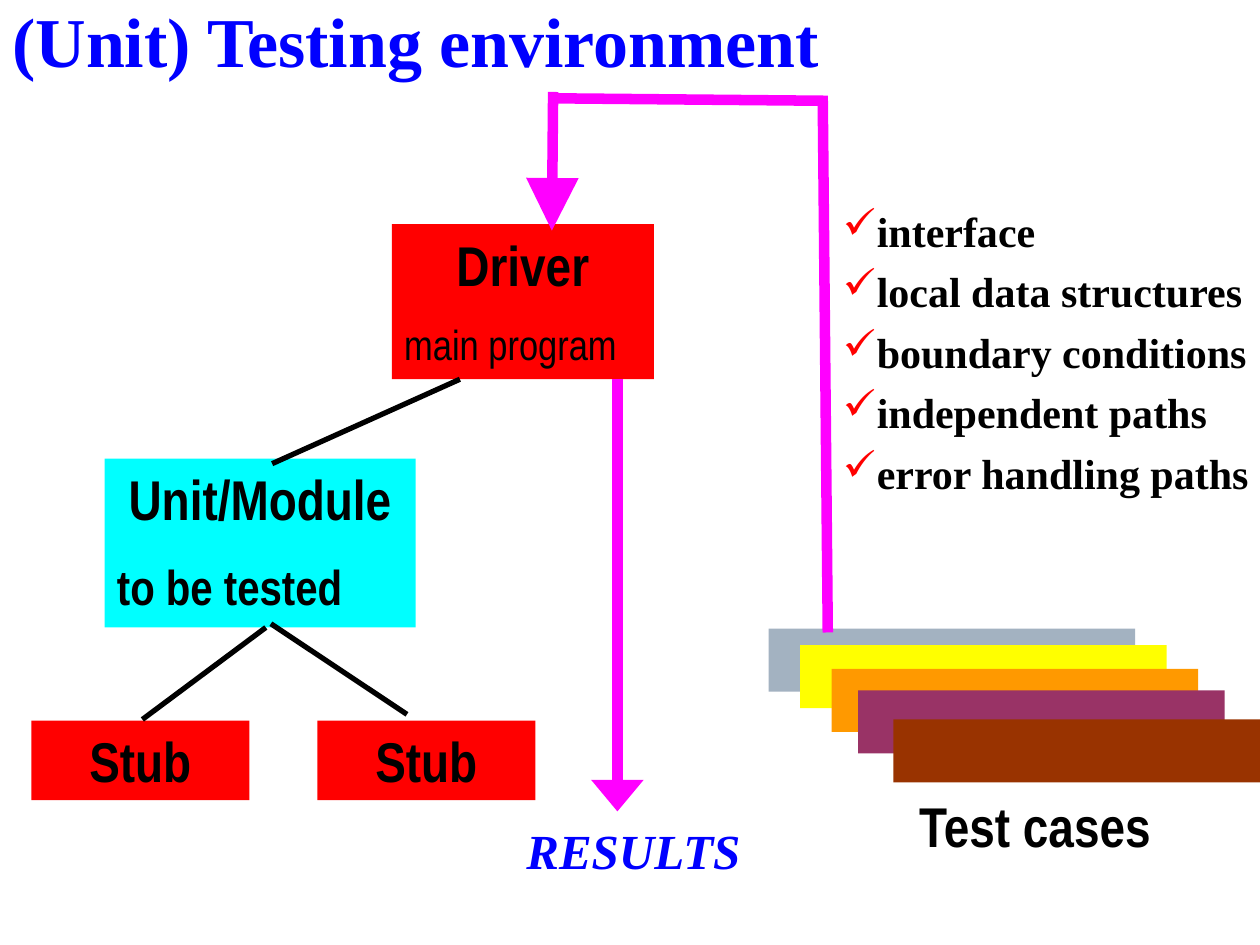
"""Build the unit testing environment slide."""
from lxml import etree
from pptx import Presentation
from pptx.dml.color import RGBColor
from pptx.enum.shapes import MSO_CONNECTOR, MSO_SHAPE
from pptx.enum.text import MSO_ANCHOR, PP_ALIGN
from pptx.oxml.ns import qn
from pptx.util import Inches, Pt

LEFT, CENTER = PP_ALIGN.LEFT, PP_ALIGN.CENTER
TOP, MIDDLE = MSO_ANCHOR.TOP, MSO_ANCHOR.MIDDLE
RECTANGLE, STRAIGHT = MSO_SHAPE.RECTANGLE, MSO_CONNECTOR.STRAIGHT

BLACK, BLUE, RED, CYAN, MAGENTA = "000000", "0000FF", "FF0000", "00FFFF", "FF00FF"
SERIF, NARROW = "Times New Roman", "Arial Narrow"

HEADING = {"name": NARROW, "size": Pt(32), "bold": True}
PROGRAM = {"name": NARROW, "size": Pt(24), "bold": False}
TESTED = {"name": NARROW, "size": Pt(28), "bold": True}
TITLE = {"name": SERIF, "size": Pt(40), "bold": True}
RESULT = {"name": SERIF, "size": Pt(28), "bold": True, "italic": True}
CHECK = {"name": SERIF, "size": Pt(24), "bold": True}

CHECKS = ["interface", "local data structures", "boundary conditions",
          "independent paths", "error handling paths"]
CHECKS_BOX = (6.59, 1.5, 3.45, 2.87)
CHECK_INDENT = 0.27

MODULES = [
    ((3.11, 1.78, 2.08, 1.23), RED,
     [("Driver", HEADING, CENTER), ("main program", PROGRAM, LEFT)]),
    ((0.83, 3.64, 2.47, 1.34), CYAN,
     [("Unit/Module", HEADING, CENTER), ("to be tested", TESTED, LEFT)]),
    ((0.25, 5.72, 1.73, 0.63), RED, [("Stub", HEADING, CENTER)]),
    ((2.52, 5.72, 1.73, 0.63), RED, [("Stub", HEADING, CENTER)]),
]
LABELS = [
    ((4.08, 6.46, 1.91, 0.57), BLUE, TOP, [("RESULTS", RESULT, LEFT)]),
    ((6.76, 6.23, 2.91, 0.63), BLACK, TOP, [("Test cases", HEADING, CENTER)]),
    ((0, 0, 9.8, 0.63), BLUE, MIDDLE, [("(Unit) Testing environment", TITLE, LEFT)]),
]
CASE_SIZE = (2.91, 0.5)
TEST_CASES = [(6.1, 4.99, "A3B2C1"), (6.35, 5.12, "FFFF00"), (6.6, 5.31, "FF9900"),
              (6.81, 5.48, "993366"), (7.09, 5.71, "993300")]

CALLS = [(2.15, 4.95, 3.23, 5.67), (2.11, 4.98, 1.13, 5.71), (3.65, 3.01, 2.16, 3.68)]
FLOWS = [
    ((4.9, 3.01, 4.9, 6.44), "med"),
    ((6.57, 5.02, 6.53, 0.8), None),
    ((4.39, 0.73, 4.38, 1.83), "lg"),
    ((6.57, 0.8, 4.37, 0.78), None),
]


def rgb(value):
    return RGBColor.from_string(value)


def inches(values):
    return [Inches(value) for value in values]


def write(frame, lines, color, anchor=TOP):
    frame.word_wrap = True
    frame.vertical_anchor = anchor
    for index, (words, style, align) in enumerate(lines):
        paragraph = frame.add_paragraph() if index else frame.paragraphs[0]
        paragraph.alignment = align
        if index:
            paragraph.space_before = style["size"] // 2
        run = paragraph.add_run()
        run.text = words
        run.font.color.rgb = rgb(color)
        for key, value in style.items():
            setattr(run.font, key, value)


def add_block(slide, box, color):
    block = slide.shapes.add_shape(RECTANGLE, *inches(box))
    block.shadow.inherit = False
    block.fill.solid()
    block.fill.fore_color.rgb = rgb(color)
    block.line.fill.background()
    return block


def add_label(slide, box, color, anchor, lines):
    label = slide.shapes.add_textbox(*inches(box))
    write(label.text_frame, lines, color, anchor)
    return label


def add_link(slide, ends, color, width, head_length=None):
    link = slide.shapes.add_connector(STRAIGHT, *inches(ends))
    link.line.color.rgb = rgb(color)
    link.line.width = Pt(width)
    properties = link._element.spPr
    etree.SubElement(properties, qn("a:effectLst"))
    if head_length:
        etree.SubElement(properties.find(qn("a:ln")), qn("a:tailEnd"),
                         type="triangle", w="lg", len=head_length)


def add_checks(slide):
    lines = [(check, CHECK, LEFT) for check in CHECKS]
    frame = add_label(slide, CHECKS_BOX, BLACK, TOP, lines).text_frame
    frame.word_wrap = False
    for paragraph in frame.paragraphs:
        paragraph.space_before = Pt(0)
        paragraph.line_spacing = 1.2
        properties = paragraph._p.get_or_add_pPr()
        properties.set("marL", str(Inches(CHECK_INDENT)))
        properties.set("indent", str(-Inches(CHECK_INDENT)))
        bullet_color = etree.SubElement(properties, qn("a:buClr"))
        etree.SubElement(bullet_color, qn("a:srgbClr"), val=RED)
        etree.SubElement(properties, qn("a:buChar"), char="✓")


def main():
    deck = Presentation()
    deck.slide_width, deck.slide_height = inches((10, 7.5))
    slide = deck.slides.add_slide(deck.slide_layouts[6])
    add_checks(slide)
    for box, color, lines in MODULES:
        write(add_block(slide, box, color).text_frame, lines, BLACK)
    for ends in CALLS:
        add_link(slide, ends, BLACK, 3)
    for left, top, color in TEST_CASES:
        add_block(slide, (left, top, *CASE_SIZE), color)
    for ends, head_length in FLOWS:
        add_link(slide, ends, MAGENTA, 6, head_length)
    for label in LABELS:
        add_label(slide, *label)
    deck.save("out.pptx")


if __name__ == "__main__":
    main()
